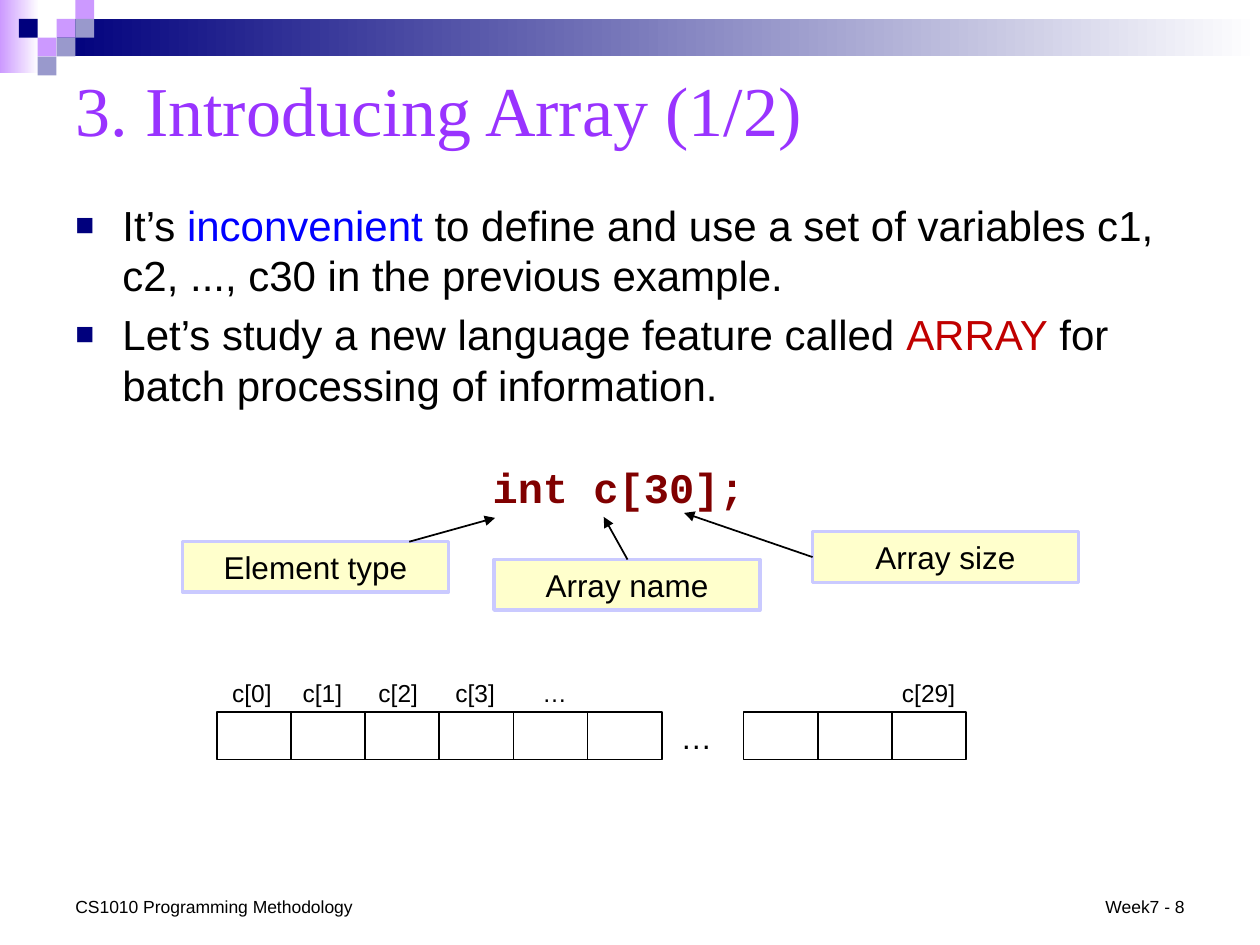
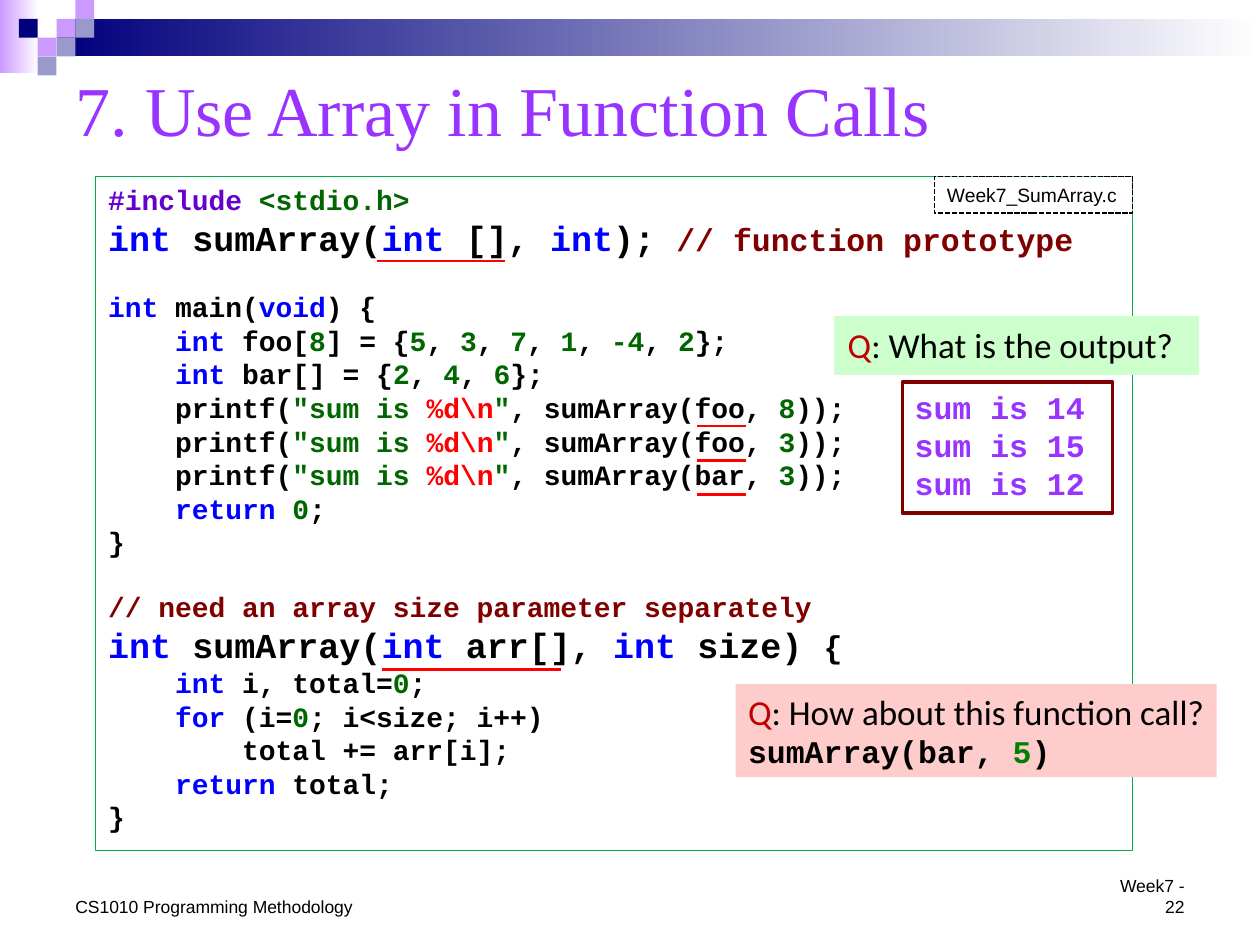
from lxml.etree import SubElement
from pptx import Presentation
from pptx.dml.color import RGBColor
from pptx.enum.dml import MSO_LINE
from pptx.enum.shapes import MSO_CONNECTOR, MSO_SHAPE
from pptx.enum.text import MSO_ANCHOR, PP_ALIGN
from pptx.oxml.ns import qn
from pptx.util import Cm, Pt

COLORS = {
    "black": "000000", "white": "FFFFFF", "navy": "00007D", "lilac": "CC99FF",
    "slate": "9999CC", "title": "9933FF", "keyword": "0000FF", "number": "006600",
    "directive": "6600CC", "format": "FF0000", "comment": "800000",
    "accent": "C00000", "answer": "008000", "cream": "FFFFCC",
    "lavender": "CACAFF", "mint": "CCFFCC", "pink": "FFCCCC", "frame": "00B050",
}
SLIDE_WIDTH, SLIDE_HEIGHT = 25.4, 19.05
SQUARE = 0.38
HEADER_SQUARES = [
    (3, 1, "lilac"), (4, 0, "lilac"), (4, 1, "slate"), (2, 2, "lilac"),
    (1, 1, "navy"), (3, 2, "slate"), (2, 3, "slate"),
]
CODE_FONT = "Courier New"

# Marked text: |color:words| or |color@size:words| formats the words it encloses.
# A code line is (marked text, size, space before).
PRINT_SUM = '    printf(|number:"sum is ||format:%d\\n||number:"|, sumArray({}, |number:{}|));'
CODE_LINES = [
    ("|directive:#include ||number:<stdio.h>|", 16, 0),
    ("|keyword:int |sumArray(|keyword:int| [], |keyword:int|); "
     "|comment@18:// function prototype|", 20, 0),
    ("|keyword:int| main(|keyword:void|) {", 16, 18),
    ("    |keyword:int| foo[|number:8|] = {|number:5|, |number:3|, |number:7|, "
     "|number:1|, |number:-4|, |number:2|};", 16, 0),
    ("    |keyword:int| bar[] = {|number:2|, |number:4|, |number:6|};", 16, 0),
    (PRINT_SUM.format("foo", 8), 16, 0),
    (PRINT_SUM.format("foo", 3), 16, 0),
    (PRINT_SUM.format("bar", 3), 16, 0),
    ("    |keyword:return ||number:0|;", 16, 0),
    ("}", 16, 0),
    ("|comment:// need an array size parameter separately|", 16, 18),
    ("|keyword:int |sumArray(|keyword:int |arr[], |keyword:int| size) |black@18:{|", 20, 0),
    ("    |keyword:int |i, total=|number:0|;", 16, 0),
    ("    |keyword:for| (i=|number:0|; i<size; i++)", 16, 0),
    ("        total += arr[i];", 16, 0),
    ("    |keyword:return| total;", 16, 0),
    ("}", 16, 0),
]


def rgb(name):
    return RGBColor.from_string(COLORS[name])


def split_runs(marked, color, size):
    """Yield (words, color, size) for each run of marked text."""
    for index, part in enumerate(marked.split("|")):
        if index % 2:
            tag, _, words = part.partition(":")
            run_color, _, run_size = tag.partition("@")
            yield words, run_color, int(run_size or size)
        elif part:
            yield part, color, size


def add_bullet(paragraph):
    properties = paragraph._p.get_or_add_pPr()
    properties.set("marL", str(Cm(0.95)))
    properties.set("indent", str(-Cm(0.95)))
    bullet_color = SubElement(properties, qn("a:buClr"))
    SubElement(bullet_color, qn("a:srgbClr"), val=COLORS["navy"])
    SubElement(properties, qn("a:buSzPct"), val="75000")
    SubElement(properties, qn("a:buFont"), typeface="Arial")
    SubElement(properties, qn("a:buChar"), char="■")


def add_paragraph(frame, marked, *, size=18, font="Arial", color="black", bold=False,
                  align=PP_ALIGN.LEFT, space_before=0, bullet=False):
    """Fill the empty first paragraph of the frame, or append one."""
    first = frame.paragraphs[0]
    paragraph = frame.add_paragraph() if first.runs else first
    if bullet:
        add_bullet(paragraph)
    paragraph.alignment = align
    paragraph.space_before = Pt(space_before)
    for words, run_color, run_size in split_runs(marked, color, size):
        run = paragraph.add_run()
        run.text = words
        run.font.name = font
        run.font.size = Pt(run_size)
        run.font.bold = bold
        run.font.color.rgb = rgb(run_color)


def prepare_frame(shape, anchor=MSO_ANCHOR.TOP):
    frame = shape.text_frame
    frame.word_wrap = True
    frame.vertical_anchor = anchor
    return frame


def add_text(slide, box, marked, *, anchor=MSO_ANCHOR.TOP, **text_format):
    shape = slide.shapes.add_textbox(*map(Cm, box))
    frame = prepare_frame(shape, anchor)
    add_paragraph(frame, marked, **text_format)
    return frame


def add_box(slide, box, fill=None, line=None, line_width=1, anchor=MSO_ANCHOR.TOP):
    """Draw a rectangle; a pair of colors as fill makes a gradient."""
    shape = slide.shapes.add_shape(MSO_SHAPE.RECTANGLE, *map(Cm, box))
    shape.shadow.inherit = False
    if isinstance(fill, tuple):
        shape.fill.gradient()
        shape.fill.gradient_angle = 0
        for stop, name in zip(shape.fill.gradient_stops, fill):
            stop.color.rgb = rgb(name)
    elif fill:
        shape.fill.solid()
        shape.fill.fore_color.rgb = rgb(fill)
    else:
        shape.fill.background()
    if line:
        shape.line.color.rgb = rgb(line)
        shape.line.width = Pt(line_width)
    else:
        shape.line.fill.background()
    prepare_frame(shape, anchor)
    return shape


def add_line(slide, start, end, color="black", width=1, arrow=False):
    connector = slide.shapes.add_connector(
        MSO_CONNECTOR.STRAIGHT, *map(Cm, start + end))
    connector.line.color.rgb = rgb(color)
    connector.line.width = Pt(width)
    if arrow:
        SubElement(connector.line._ln, qn("a:tailEnd"), type="triangle")
    SubElement(connector._element.spPr, qn("a:effectLst"))


def add_header(slide):
    add_box(slide, (0, 0, 0.79, 1.47), ("lilac", "white"))
    band_left = 3 * SQUARE
    add_box(slide, (band_left, SQUARE, SLIDE_WIDTH - band_left, 2 * SQUARE),
            ("navy", "white"))
    for column, row, color in HEADER_SQUARES:
        add_box(slide, (column * SQUARE, row * SQUARE, SQUARE, SQUARE), color)


def add_footer(slide, number):
    top, height = 17.93, 0.69
    add_text(slide, (1.27, top, 6.15, height), "CS1010 Programming Methodology",
             size=10, anchor=MSO_ANCHOR.BOTTOM)
    add_text(slide, (22, top, 2.13, height), f"Week7 - {number}",
             size=10, align=PP_ALIGN.RIGHT, anchor=MSO_ANCHOR.BOTTOM)


def start_slide(presentation, title, number):
    slide = presentation.slides.add_slide(presentation.slide_layouts[6])
    add_header(slide)
    add_text(slide, (1.27, 1.07, 22.86, 2.24), title, size=40, color="title",
             font="Times New Roman", anchor=MSO_ANCHOR.MIDDLE)
    add_footer(slide, number)
    return slide


def add_bullets(slide, box, first, *others):
    frame = add_text(slide, box, first, size=24, bullet=True)
    for marked in others:
        add_paragraph(frame, marked, size=24, bullet=True, space_before=5)


def add_callout(slide, left, top, label, start, tip):
    """Draw a label with an arrow; start and tip are offsets from its corner."""
    shape = add_box(slide, (left, top, 5.36, 1.02), "cream", "lavender", 2)
    add_paragraph(shape.text_frame, label, align=PP_ALIGN.CENTER)
    add_line(slide, (left + start[0], top + start[1]),
             (left + tip[0], top + tip[1]), arrow=True)


def add_array_cells(slide, left, top):
    cell_width, cell_height, label_width = 1.495, 0.96, 1.73
    label_centers = [("c[0]", 0.71), ("c[1]", 2.13), ("c[2]", 3.66),
                     ("c[3]", 5.21), ("…", 6.81), ("c[29]", 14.35)]
    for label, center in label_centers:
        add_text(slide, (left + center - label_width / 2, top - 0.81, label_width, 0.86),
                 label, size=14, align=PP_ALIGN.CENTER)
    for group_left, count in ((left, 6), (left + 10.62, 3)):
        for index in range(count):
            add_box(slide, (group_left + index * cell_width, top, cell_width, cell_height),
                    line="black")
    add_text(slide, (left + 9.1, top, cell_width, cell_height), "…")


def add_code(slide, box):
    left, top, width, _ = box
    frame = add_box(slide, box, "white", "frame", 0.75).text_frame
    for marked, size, space_before in CODE_LINES:
        add_paragraph(frame, marked, size=size, font=CODE_FONT, bold=True,
                      space_before=space_before)
    tag_width = 3.99
    file_tag = add_box(slide, (left + width - tag_width, top, tag_width, 0.74),
                       "white", "black", anchor=MSO_ANCHOR.MIDDLE)
    file_tag.line.dash_style = MSO_LINE.SQUARE_DOT
    add_paragraph(file_tag.text_frame, "Week7_SumArray.c", size=11)
    underlines = [(5.66, 8.26, 1.7), (5.77, 9.37, 9.93)]
    underlines += [(12.12, 13.11, 5.03 + 0.69 * row) for row in range(3)]
    for start, end, depth in underlines:
        add_line(slide, (left + start, top + depth), (left + end, top + depth),
                 "format", 1.5)


def add_output(slide, box):
    frame = add_box(slide, box, "white", "comment", 2).text_frame
    for total in (14, 15, 12):
        add_paragraph(frame, f"sum is {total}", font=CODE_FONT, bold=True, color="title")


def add_question(slide, box, fill, question, line=None):
    frame = add_box(slide, box, fill, line, 2).text_frame
    add_paragraph(frame, f"|accent:Q|: {question}", size=20, font="Calibri")
    return frame


def build_array_slide(presentation):
    slide = start_slide(presentation, "3. Introducing Array (1/2)", 8)
    add_bullets(
        slide, (1.27, 3.89, 22.86, 5),
        "It’s |keyword:inconvenient| to define and use a set of variables c1, "
        "c2, ..., c30 in the previous example.",
        "Let’s study a new language feature called |accent:ARRAY| for batch "
        "processing of information.")
    add_text(slide, (9.17, 9.17, 6.6, 1.3), "int c[30];", size=24, font=CODE_FONT,
             bold=True, color="comment", align=PP_ALIGN.CENTER)
    add_callout(slide, 9.96, 11.28, "Array name", (2.69, 0), (2.21, -0.86))
    add_callout(slide, 3.68, 10.92, "Element type", (4.57, 0), (6.3, -0.48))
    add_callout(slide, 16.38, 10.72, "Array size", (0, 0.51), (-2.59, -0.38))
    add_array_cells(slide, 4.37, 14.35)


def build_function_slide(presentation):
    slide = start_slide(presentation, "7. Use Array in Function Calls", 22)
    add_code(slide, (1.93, 3.56, 20.9, 13.59))
    add_output(slide, (18.19, 7.7, 4.24, 2.64))
    add_question(slide, (16.84, 6.4, 7.29, 1.12), "mint", "What is the output?", "mint")
    frame = add_question(slide, (14.83, 13.79, 9.7, 1.88), "pink",
                         "How about this function call?")
    add_paragraph(frame, "sumArray(bar, |answer:5|)", font=CODE_FONT, bold=True)


def main():
    presentation = Presentation()
    presentation.slide_width = Cm(SLIDE_WIDTH)
    presentation.slide_height = Cm(SLIDE_HEIGHT)
    build_array_slide(presentation)
    build_function_slide(presentation)
    presentation.save("out.pptx")


if __name__ == "__main__":
    main()
